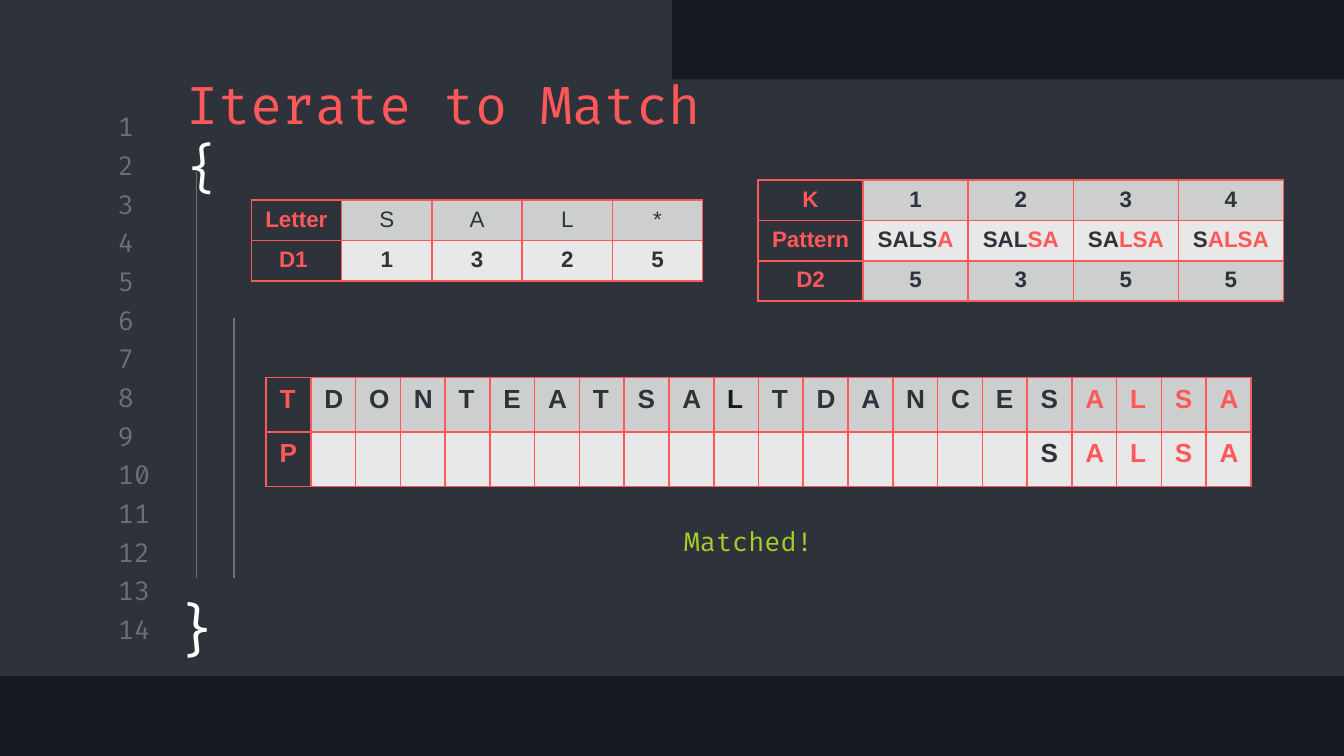
from lxml.etree import SubElement
from pptx import Presentation
from pptx.dml.color import RGBColor
from pptx.enum.shapes import MSO_CONNECTOR, MSO_SHAPE
from pptx.enum.text import MSO_ANCHOR, PP_ALIGN
from pptx.oxml.ns import qn
from pptx.util import Inches, Pt

NIGHT = RGBColor(0x16, 0x19, 0x1F)
SLATE = RGBColor(0x2E, 0x32, 0x3B)
GRAY = RGBColor(0x70, 0x70, 0x70)
RED = RGBColor(0xFF, 0x58, 0x58)
WHITE = RGBColor(0xFF, 0xFF, 0xFF)
GREEN = RGBColor(0xA5, 0xCF, 0x27)
BANDS = (RGBColor(0xCD, 0xCE, 0xCE), RGBColor(0xE8, 0xE8, 0xE8))
CODE_FONT, TABLE_FONT = "Fira Code", "Arial"


def write(p, runs, align=PP_ALIGN.LEFT, **formats):
    """Fill a paragraph with (text, colour) runs sharing the font formats."""
    p.alignment = align
    for text, color in runs:
        r = p.add_run()
        r.text = text
        r.font.color.rgb = color
        for name, value in formats.items():
            setattr(r.font, name, value)


def text_box(box, runs, size, anchor=MSO_ANCHOR.MIDDLE, inset=0.1, align=PP_ALIGN.LEFT):
    """Add a wrapped text box in the code font."""
    tf = s.shapes.add_textbox(*map(Inches, box)).text_frame
    formats = {"word_wrap": True, "vertical_anchor": anchor,
               "margin_top": Inches(inset), "margin_bottom": Inches(inset)}
    for name, value in formats.items():
        setattr(tf, name, value)
    write(tf.paragraphs[0], runs, align, size=Pt(size), name=CODE_FONT)


# A 16:9 slide
prs = Presentation()
prs.slide_width, prs.slide_height = Inches(10), Inches(10 * 9 / 16)
s = prs.slides.add_slide(prs.slide_layouts[6])
s.background.fill.solid()
s.background.fill.fore_color.rgb = NIGHT

# Editor panel and its tab
for box in ((0, 0.59, 10, 4.44), (0, 0, 5, 0.65)):
    sp = s.shapes.add_shape(MSO_SHAPE.RECTANGLE, *map(Inches, box))
    sp.shadow.inherit = False
    sp.fill.solid()
    sp.fill.fore_color.rgb = SLATE
    sp.line.fill.background()

# Line numbers at an equal pitch
LINES, FIRST_TOP, LAST_TOP = 14, 0.82, 4.56
pitch = (LAST_TOP - FIRST_TOP) / (LINES - 1)
for i in range(LINES):
    text_box((0.78, FIRST_TOP + i * pitch, 0.47, 0.24), [(str(i + 1), GRAY)], 14)

# Title, braces and indent guides
text_box((1.29, 0.71, 4.42, 0.59), [("Iterate to Match ", RED), ("{", WHITE)], 28)
text_box((1.19, 4.32, 0.55, 0.71), [("}", WHITE)], 30, MSO_ANCHOR.TOP,
         align=PP_ALIGN.CENTER)
for x, top in ((1.46, 1.28), (1.74, 2.37)):
    guide = s.shapes.add_connector(MSO_CONNECTOR.STRAIGHT, Inches(x), Inches(top),
                                   Inches(x), Inches(4.3))
    guide.line.color.rgb = GRAY
    guide.line.width = Pt(0.75)
    SubElement(guide._element.spPr, qn("a:effectLst"))

# Tables: box, size, alignment, rows; "|" in a cell starts its matched (red) suffix
TEXT = "DONTEATSALTDANCES"
MATCH = ["|A", "|L", "|S", "|A"]
tables = (
    ((5.64, 1.34, 3.91, 0.9), 12, PP_ALIGN.CENTER,
     (["K", "1", "2", "3", "4"],
      ["Pattern", "SALS|A", "SAL|SA", "SA|LSA", "S|ALSA"],
      ["D2", "5", "3", "5", "5"])),
    ((1.87, 1.49, 3.36, 0.6), 12, PP_ALIGN.CENTER,
     (["Letter", "S", "A", "L", "*"], ["D1 ", "1", "3", "2", "5"])),
    ((1.98, 2.81, 7.33, 0.81), 14, PP_ALIGN.LEFT,
     (["T", *TEXT, *MATCH], ["P", *[""] * (len(TEXT) - 1), "S", *MATCH])),
)
for box, size, align, rows in tables:
    left, top, width, height = box
    table = s.shapes.add_table(len(rows), len(rows[0]), *map(Inches, box)).table
    for col in table.columns:
        col.width = Inches(width / len(rows[0]))
    for row in table.rows:
        row.height = Inches(height / len(rows))
    for i, values in enumerate(rows):
        for j, value in enumerate(values):
            cell = table.cell(i, j)
            for side in ("a:lnL", "a:lnR", "a:lnT", "a:lnB"):
                ln = SubElement(cell._tc.get_or_add_tcPr(), qn(side), w=str(Pt(1)))
                SubElement(SubElement(ln, qn("a:solidFill")), qn("a:srgbClr"), val=str(RED))
            cell.fill.solid()
            cell.fill.fore_color.rgb = BANDS[i % 2] if j else SLATE
            plain, _, matched = value.partition("|")
            # The L of SALT is a shade darker
            color = RED if j == 0 else NIGHT if (values[0], j) == ("T", 10) else SLATE
            runs = [run for run in ((plain, color), (matched, RED)) if run[0]]
            bold = j == 0 or values[0] != "Letter"
            write(cell.text_frame.paragraphs[0], runs, align, size=Pt(size),
                  name=TABLE_FONT, bold=bold)

text_box((4.99, 3.86, 1.17, 0.34), [("Matched!", GREEN)], 14, MSO_ANCHOR.TOP, inset=0.05)

prs.save("out.pptx")
